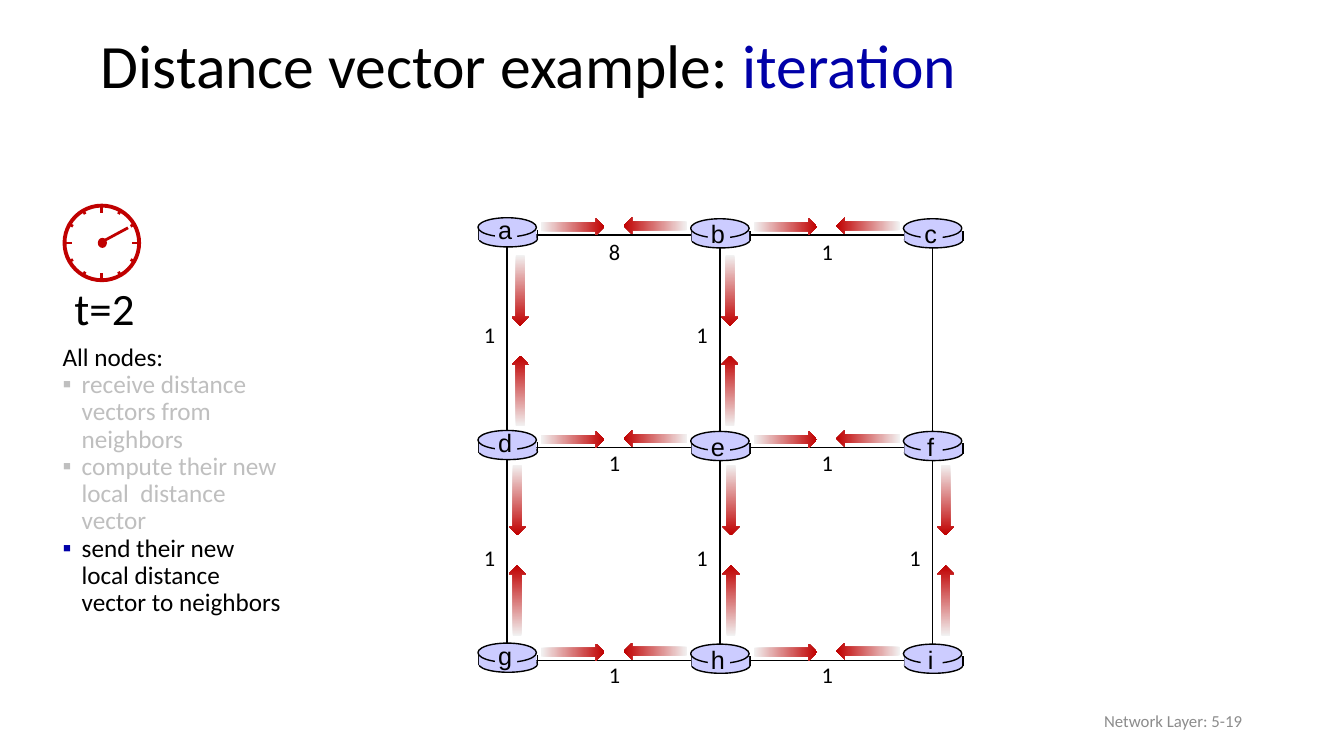
from math import cos, radians, sin

from lxml.etree import SubElement
from pptx import Presentation
from pptx.dml.color import RGBColor
from pptx.enum.shapes import MSO_CONNECTOR, MSO_SHAPE
from pptx.enum.text import MSO_ANCHOR, MSO_AUTO_SIZE, PP_ALIGN
from pptx.oxml.ns import qn
from pptx.util import Inches, Pt

BLACK = RGBColor(0x00, 0x00, 0x00)
NAVY = RGBColor(0x00, 0x00, 0xA8)
RED = RGBColor(0xC0, 0x00, 0x00)
PALE = RGBColor(0xF2, 0xF2, 0xF2)
LILAC = RGBColor(0xCC, 0xCC, 0xFF)
FADED = RGBColor(0xBF, 0xBF, 0xBF)
GREY = RGBColor(0x8C, 0x8C, 0x8C)

TITLE = [("Distance vector example: ", BLACK), ("iteration", NAVY)]
FOOTER = "Network Layer: 5-19"
TIME = "t=2"
# text, text colour, bullet colour
STEPS = [
    ("All nodes:", BLACK, None),
    ("receive distance vectors from neighbors", FADED, FADED),
    ("compute their new local  distance vector", FADED, FADED),
    ("send their new local distance vector to neighbors", BLACK, NAVY),
]
ROUTERS = ["abc", "def", "ghi"]
# (column, row) of the first router: link cost
ACROSS = {(0, 0): "8", (1, 0): "1", (0, 1): "1", (1, 1): "1", (0, 2): "1", (1, 2): "1"}
# (column, row) of the upper router: link cost, distance from the link to its arrows
DOWN = {(0, 0): ("1", 0.13), (1, 0): ("1", 0.1), (0, 1): ("1", 0.1),
        (1, 1): ("1", 0.11), (2, 1): ("1", 0.13)}

GRID_LEFT, GRID_TOP, STEP = 5.03, 2.33, 2.11
GRID_SIZE = 2 * STEP
CLOCK_X, CLOCK_Y, CLOCK_RADIUS = 1.01, 2.41, 0.37

deck = Presentation()
deck.slide_width, deck.slide_height = Inches(13.33), Inches(7.5)
slide = deck.slides.add_slide(deck.slide_layouts[1])


def router_at(column, row):
    return GRID_LEFT + column * STEP, GRID_TOP + row * STEP


def place(placeholder, left, top, width, height):
    placeholder.left, placeholder.top = Inches(left), Inches(top)
    placeholder.width, placeholder.height = Inches(width), Inches(height)


def style(run, size, color, font="Calibri"):
    run.font.size, run.font.name, run.font.color.rgb = Pt(size), font, color


def add_label(text, left, top, width, height, size, color=BLACK, font="Calibri",
              align=PP_ALIGN.LEFT, anchor=MSO_ANCHOR.TOP):
    frame = slide.shapes.add_textbox(
        Inches(left), Inches(top), Inches(width), Inches(height)).text_frame
    frame.text = text
    frame.word_wrap = False
    frame.vertical_anchor = anchor
    frame.paragraphs[0].alignment = align
    style(frame.paragraphs[0].runs[0], size, color, font)


def add_line(x1, y1, x2, y2, color=BLACK, width=1):
    line = slide.shapes.add_connector(
        MSO_CONNECTOR.STRAIGHT, Inches(x1), Inches(y1), Inches(x2), Inches(y2))
    line.line.color.rgb, line.line.width = color, Pt(width)
    SubElement(line._element.spPr, qn("a:effectLst"))


def add_outline(kind, left, top, width, height, fill=None, line=None, weight=1):
    """Add a preset shape; a missing fill or line colour means none."""
    shape = slide.shapes.add_shape(
        kind, Inches(left), Inches(top), Inches(width), Inches(height))
    shape.shadow.inherit = False
    if fill is None:
        shape.fill.background()
    else:
        shape.fill.solid()
        shape.fill.fore_color.rgb = fill
    if line is None:
        shape.line.fill.background()
    else:
        shape.line.color.rgb, shape.line.width = line, Pt(weight)
    return shape


def add_message(center_x, center_y, length, rotation):
    """Add an arrow that fades in towards its head."""
    arrow = add_outline(MSO_SHAPE.RIGHT_ARROW, center_x - length / 2,
                        center_y - 0.085, length, 0.17)
    arrow.fill.gradient()
    arrow.fill.gradient_angle = 0
    for stop, color, position in zip(arrow.fill.gradient_stops, (PALE, RED), (0, 1)):
        stop.color.rgb, stop.position = color, position
    arrow.rotation = rotation


def add_router(name, x, y, lift):
    top = y - lift
    add_outline(MSO_SHAPE.OVAL, x - 0.28, top - 0.03, 0.58, 0.16, LILAC, BLACK)
    for side in (x - 0.28, x + 0.3):
        add_line(side, top - 0.04, side, top + 0.06)
    add_outline(MSO_SHAPE.RECTANGLE, x - 0.28, top - 0.04, 0.57, 0.1, LILAC)
    add_outline(MSO_SHAPE.OVAL, x - 0.29, top - 0.16, 0.58, 0.19, LILAC, BLACK)
    add_outline(MSO_SHAPE.RECTANGLE, x - 0.12, top - 0.11, 0.22, 0.2, LILAC)
    add_label(name, x - 0.19, y - 0.21 - 4 * lift, 0.34, 0.4, 18,
              font="Arial", align=PP_ALIGN.CENTER)


def add_steps(body):
    place(body, 0.52, 3.37, 2.4, 2.83)
    frame = body.text_frame
    frame.text = "\n".join(text for text, _, _ in STEPS)
    frame.auto_size = MSO_AUTO_SIZE.NONE
    for paragraph, (_, color, bullet) in zip(frame.paragraphs, STEPS):
        paragraph.space_before = Pt(0)
        paragraph.line_spacing = 0.9
        style(paragraph.runs[0], 18, color)
        properties = paragraph._p.get_or_add_pPr()
        indent = Inches(0.19) if bullet else 0
        properties.set("marL", str(indent))
        properties.set("indent", str(-indent))
        if bullet:
            tint = SubElement(properties, qn("a:buClr"))
            SubElement(tint, qn("a:srgbClr"), val=str(bullet))
            SubElement(properties, qn("a:buChar"), char="▪")
        else:
            SubElement(properties, qn("a:buNone"))


def add_clock():
    add_outline(MSO_SHAPE.OVAL, CLOCK_X - CLOCK_RADIUS, CLOCK_Y - CLOCK_RADIUS,
                2 * CLOCK_RADIUS, 2 * CLOCK_RADIUS, line=RED, weight=2.75)
    for hour in range(12):
        dx, dy = cos(radians(30 * hour)), sin(radians(30 * hour))
        inner = 0.3 if hour % 3 == 0 else 0.33
        add_line(CLOCK_X + inner * dx, CLOCK_Y + inner * dy,
                 CLOCK_X + CLOCK_RADIUS * dx, CLOCK_Y + CLOCK_RADIUS * dy, RED, 2)
    add_outline(MSO_SHAPE.OVAL, CLOCK_X - 0.04, CLOCK_Y - 0.05, 0.09, 0.1, RED)
    add_line(CLOCK_X + 0.26, CLOCK_Y - 0.15, CLOCK_X, CLOCK_Y - 0.01, RED, 2)
    add_label(TIME, 0.64, 2.74, 0.81, 0.64, 32)


def add_network():
    middle_x, middle_y = router_at(1, 1)
    add_line(middle_x, GRID_TOP + GRID_SIZE, middle_x, GRID_TOP)
    add_line(GRID_LEFT, middle_y, GRID_LEFT + GRID_SIZE, middle_y)
    add_outline(MSO_SHAPE.RECTANGLE, GRID_LEFT, GRID_TOP, GRID_SIZE, GRID_SIZE, line=BLACK)
    for row, names in enumerate(ROUTERS):
        for column, name in enumerate(names):
            add_router(name, *router_at(column, row), lift=0.01 if column == 0 else 0)
    for (column, row), cost in ACROSS.items():
        x, y = router_at(column, row)
        add_label(cost, x + 0.91, y - 0.02 - 0.01 * row, 0.33, 0.37, 16)
        add_message(x + 0.65, y - 0.08, 0.63, 0)
        add_message(x + 1.47, y - 0.09, 0.63, 180)
    for (column, row), (cost, offset) in DOWN.items():
        x, y = router_at(column, row)
        add_label(cost, x - 0.33, y + 0.81 + 0.1 * row, 0.33, 0.37, 16)
        first = y + 0.55 - 0.03 * row
        add_message(x + offset, first, 0.7, 90)
        add_message(x + offset, first + 1, 0.7, 270)


title = slide.shapes.title
place(title, 0.9, 0.19, 11.5, 0.98)
heading = title.text_frame.paragraphs[0]
heading.alignment, heading.line_spacing = PP_ALIGN.LEFT, 0.9
for words, color in TITLE:
    part = heading.add_run()
    part.text = words
    style(part, 44, color)

add_label(FOOTER, 9.42, 6.95, 3, 0.4, 12, GREY,
          align=PP_ALIGN.RIGHT, anchor=MSO_ANCHOR.MIDDLE)
add_network()
add_steps(slide.placeholders[1])
add_clock()
deck.save("out.pptx")
